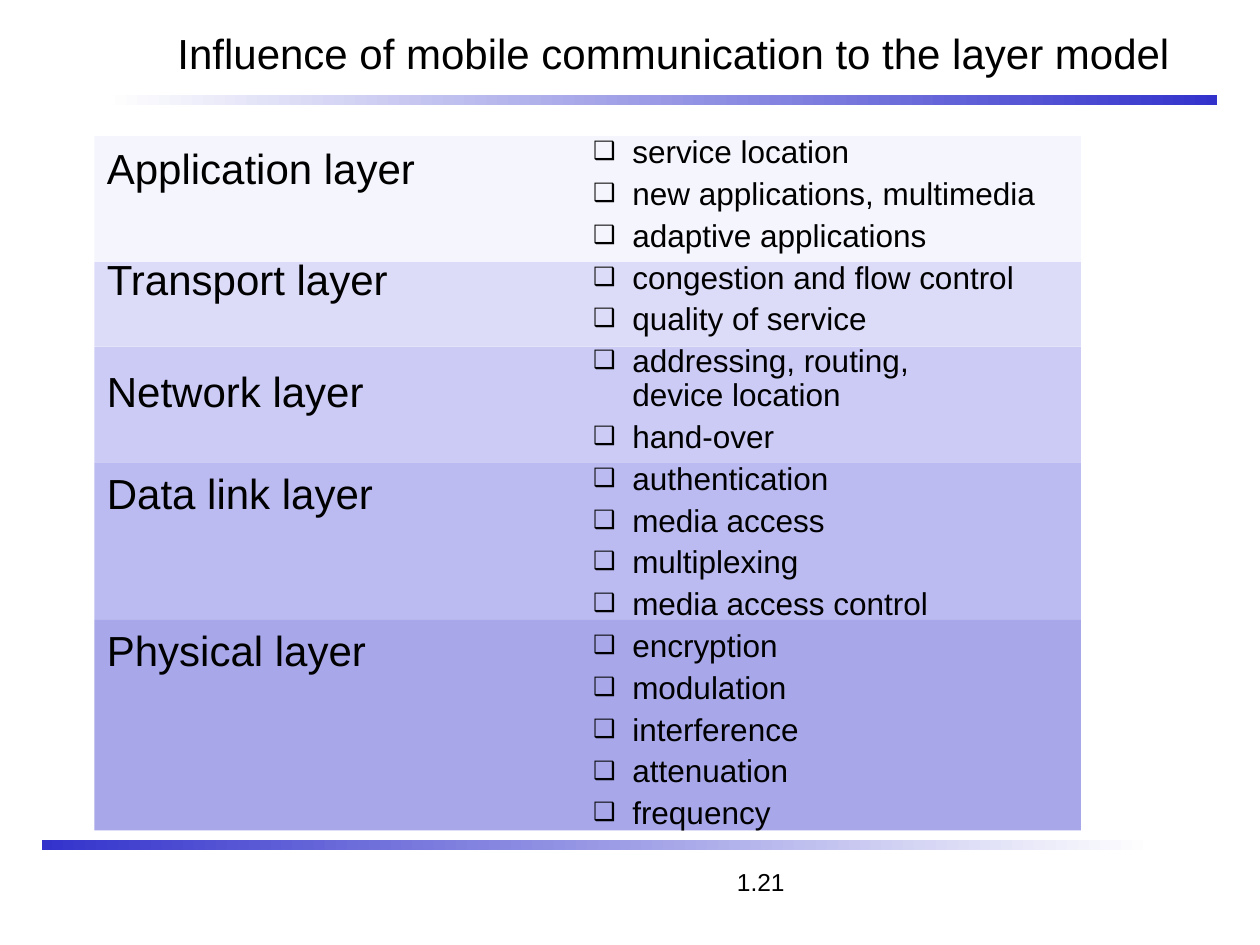
import pptx
import pptx.dml.color
import pptx.enum.shapes
import pptx.enum.text
import pptx.oxml
import pptx.oxml.ns
import pptx.util
from pptx.util import Inches

FONT = "Arial"
BLACK = "000000"
BLUE = "3333CC"
WHITE = "FFFFFF"
LAYERS = [
    ("Application layer", 1, "F5F5FD", 0),
    ("Transport layer", 0.67, "DCDCF8", 35),
    ("Network layer", 0.92, "CBCBF5", 35),
    ("Data link layer", 1.25, "BBBBF1", 29.2),
    ("Physical layer", 1.67, "A7A7E9", 61.1),
]
INFLUENCES = [
    "service location",
    "new applications, multimedia",
    "adaptive applications",
    "congestion and flow control",
    "quality of service",
    "addressing, routing,\vdevice location",
    "hand-over",
    "authentication",
    "media access",
    "multiplexing",
    "media access control",
    "encryption",
    "modulation",
    "interference",
    "attenuation",
    "frequency",
]


def color(value):
    return pptx.dml.color.RGBColor.from_string(value)


def add_element(para, markup):
    namespace = pptx.oxml.ns.nsdecls("a")
    head, slash, tail = markup.partition("/>")
    if "><" in head:
        head, rest = markup.split(">", 1)
        markup = f"{head} {namespace}>{rest}"
    else:
        markup = f"{head} {namespace}{slash}{tail}"
    para._p.get_or_add_pPr().append(pptx.oxml.parse_xml(markup))


def add_bullet(para, left, hanging):
    properties = para._p.get_or_add_pPr()
    properties.set("marL", str(Inches(left)))
    properties.set("indent", str(-Inches(hanging)))
    add_element(para, f'<a:buClr><a:srgbClr val="{BLACK}"/></a:buClr>')
    add_element(para, '<a:buSzPct val="80000"/>')
    add_element(para, '<a:buFont typeface="Arial"/>')
    add_element(para, '<a:buChar char="❑"/>')


def add_tab(para, position):
    add_element(para, f'<a:tabLst><a:tab pos="{Inches(position)}" algn="l"/></a:tabLst>')


def write(para, text, *, size, line=None, before=0, bullet=None, tab=None):
    para.text = text
    if line:
        para.line_spacing = pptx.util.Pt(line)
    para.space_before = pptx.util.Pt(before)
    if bullet:
        add_bullet(para, *bullet)
    if tab:
        add_tab(para, tab)
    for span in para.runs:
        span.font.name = FONT
        span.font.size = pptx.util.Pt(size)
        span.font.color.rgb = color(BLACK)


def add_frame(page, box, anchor=pptx.enum.text.MSO_ANCHOR.TOP):
    frame = page.shapes.add_textbox(*map(Inches, box)).text_frame
    frame.word_wrap = True
    frame.vertical_anchor = anchor
    return frame


def add_bar(page, box):
    bar = page.shapes.add_shape(
        pptx.enum.shapes.MSO_SHAPE.RECTANGLE, *map(Inches, box))
    bar.shadow.inherit = False
    bar.line.fill.background()
    return bar


def add_rule(page, box, start, end):
    fill = add_bar(page, box).fill
    fill.gradient()
    fill.gradient_angle = 0
    for stop, value, position in zip(fill.gradient_stops, (start, end), (0, 1)):
        stop.color.rgb = color(value)
        stop.position = position


def add_bands(page, box):
    left, top, width = box
    for _, height, shade, _ in LAYERS:
        band = add_bar(page, (left, top, width, height))
        band.fill.solid()
        band.fill.fore_color.rgb = color(shade)
        top += height


def add_title(page, box):
    frame = add_frame(page, box, pptx.enum.text.MSO_ANCHOR.MIDDLE)
    write(frame.paragraphs[0], "Influence of mobile communication to the layer model",
          size=24, line=28.8)


def add_layer_names(page, box):
    frame = add_frame(page, box)
    for index, (name, _, _, gap) in enumerate(LAYERS):
        para = frame.add_paragraph() if index else frame.paragraphs[0]
        write(para, name, size=24, line=28.8, before=gap)


def add_influences(page, box):
    frame = add_frame(page, box)
    for index, text in enumerate(INFLUENCES):
        para = frame.add_paragraph() if index else frame.paragraphs[0]
        write(para, text, size=18, line=19.4, before=4.5 if index else 0,
              bullet=(0.81, 0.31))


def add_page_number(page, box):
    write(add_frame(page, box).paragraphs[0], "\t1.21", size=14, tab=5.42)


def main():
    deck = pptx.Presentation()
    deck.slide_width = Inches(10)
    deck.slide_height = Inches(7.5)
    page = deck.slides.add_slide(deck.slide_layouts[6])
    add_rule(page, (0.83, 0.75, 8.83, 0.08), WHITE, BLUE)
    add_rule(page, (0.33, 6.67, 8.83, 0.08), BLUE, WHITE)
    add_page_number(page, (0.33, 6.83, 8.75, 0.33))
    add_bands(page, (0.75, 1.08, 7.83))
    add_title(page, (1.31, 0.08, 8.58, 0.67))
    add_influences(page, (4.11, 1.03, 5.58, 5.67))
    add_layer_names(page, (0.75, 1.08, 4.17, 5.58))
    deck.save("out.pptx")


if __name__ == "__main__":
    main()
